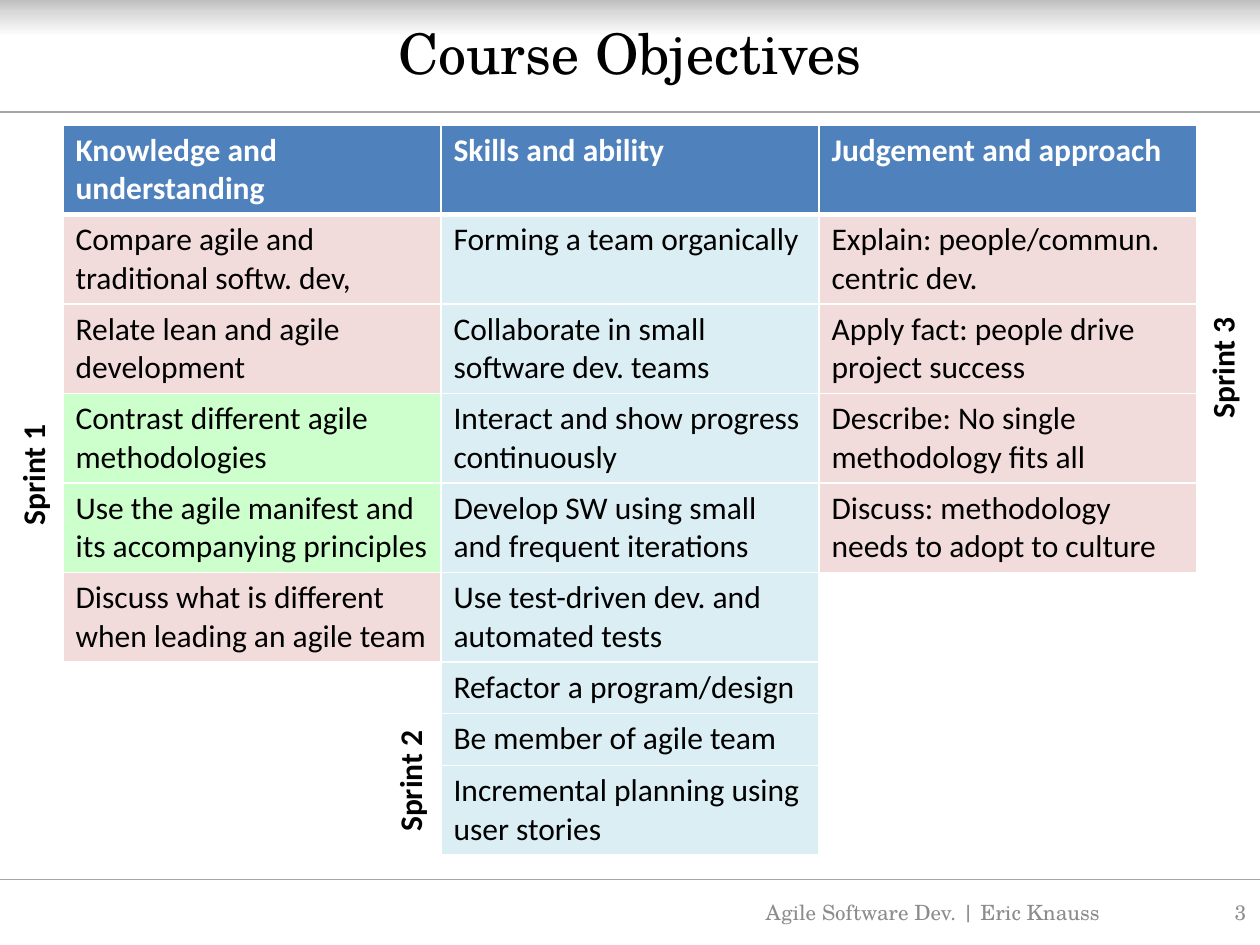
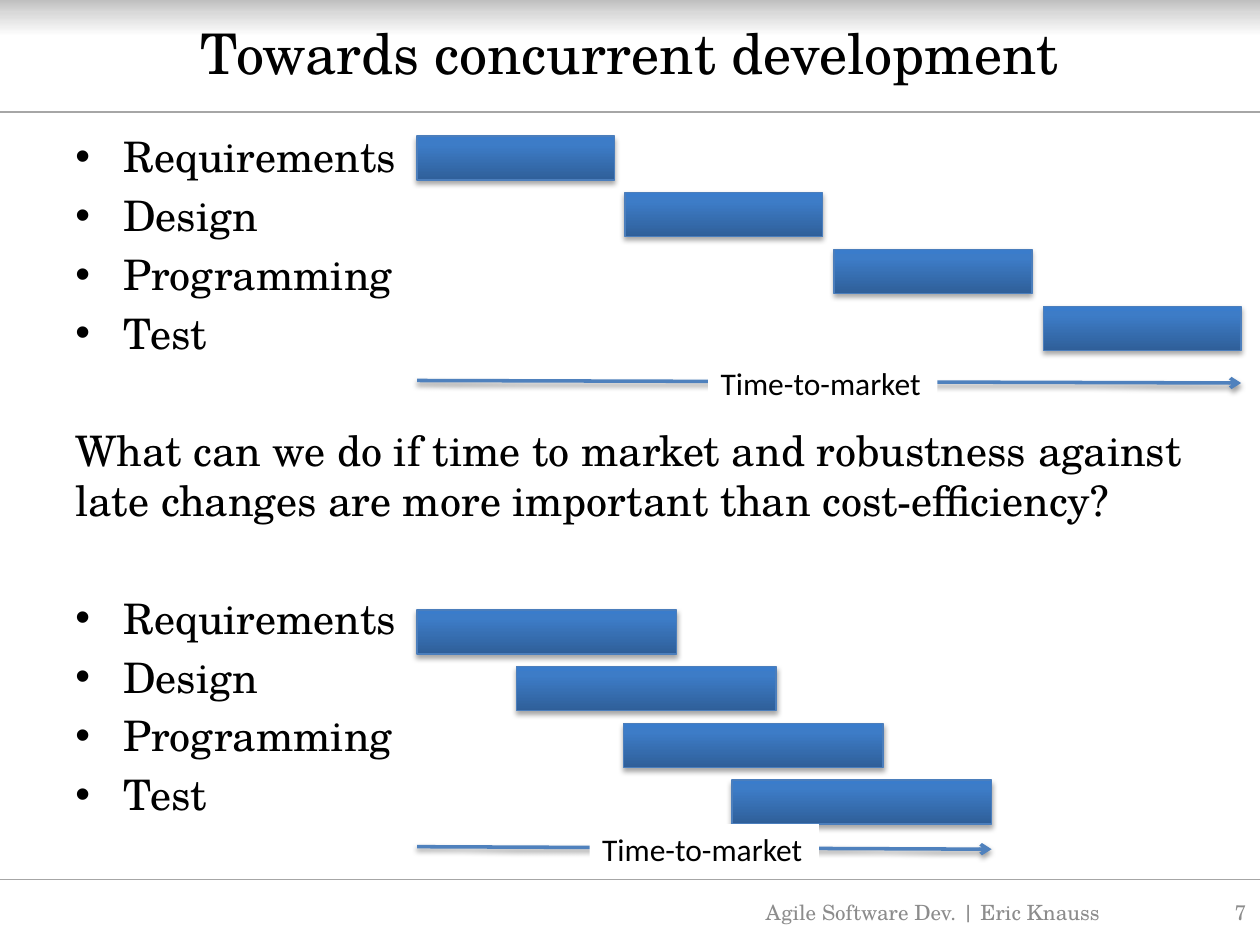
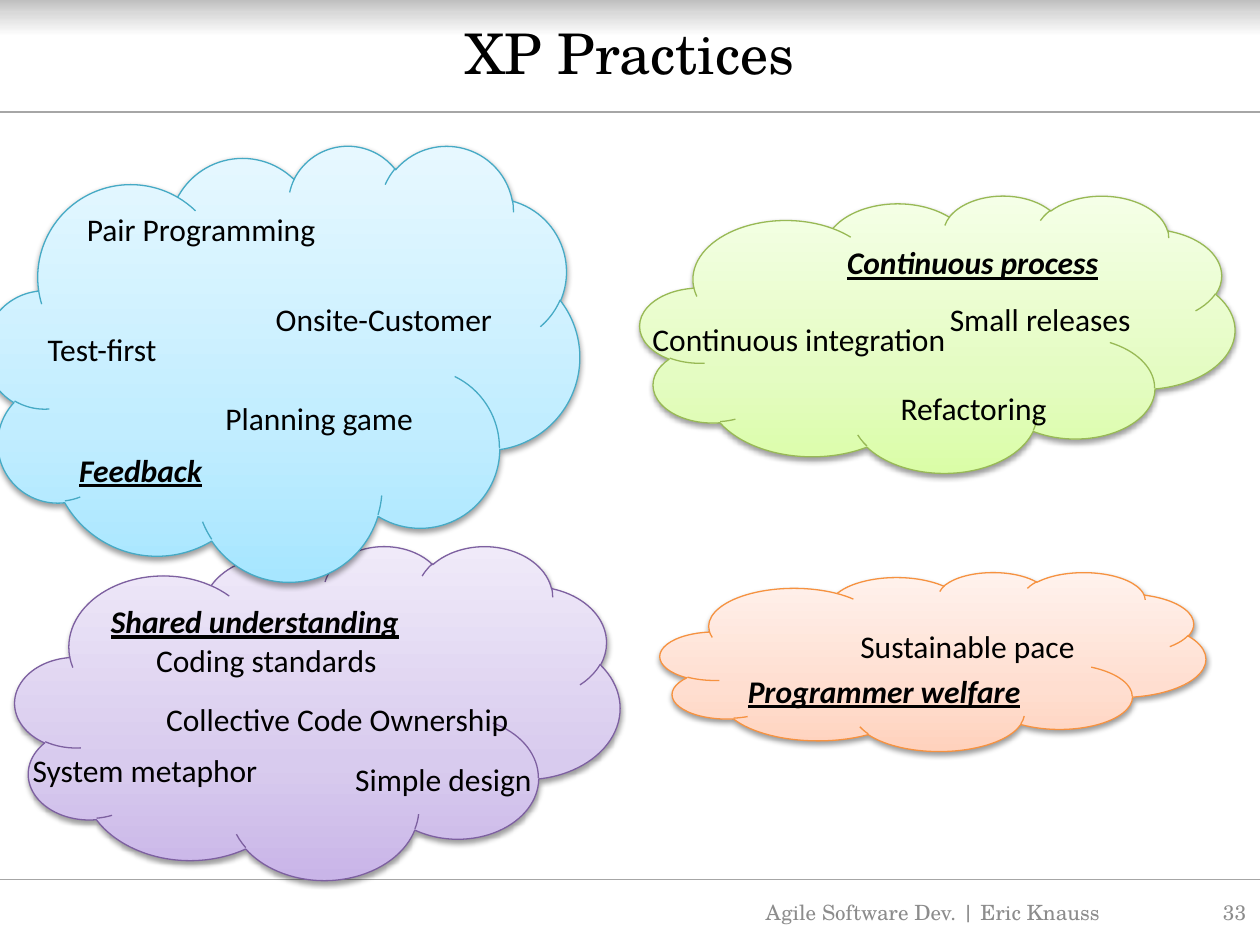
from lxml import etree
from pptx import Presentation
from pptx.dml.color import RGBColor
from pptx.enum.shapes import MSO_CONNECTOR as Conn, MSO_SHAPE as Kind
from pptx.enum.text import MSO_ANCHOR as Anchor, MSO_AUTO_SIZE as Fit, PP_ALIGN as Align
from pptx.oxml import parse_xml
from pptx.oxml.ns import nsdecls, qn
from pptx.util import Inches, Pt

SERIF, SANS = "TeX Gyre Schola", "Calibri"
BLACK = RGBColor(0x00, 0x00, 0x00)
WHITE = RGBColor(0xFF, 0xFF, 0xFF)
GRAY = RGBColor(0x8C, 0x8C, 0x8C)
RULE = RGBColor(0xA6, 0xA6, 0xA6)
BLUE = RGBColor(0x4F, 0x81, 0xBD)
EDGE = RGBColor(0x4B, 0x7E, 0xBC)
ROSE = RGBColor(0xF2, 0xDC, 0xDB)
AQUA = RGBColor(0xDB, 0xEE, 0xF4)
MINT = RGBColor(0xCC, 0xFF, 0xCC)
LIME = RGBColor(0x98, 0xB9, 0x55)
PLUM = RGBColor(0x7D, 0x60, 0xA0)
ORANGE = RGBColor(0xF6, 0x92, 0x40)
TEAL = RGBColor(0x46, 0xAA, 0xC5)
BAR = [(0, "2F5F99"), (80, "3D7CC7"), (100, "3A7CCB")]
BAND = [(0, "BFBFBF"), (34, "D9D9D9"), (100, "FFFFFF")]


def dress(shape, color, width=0.75, stops=(), angle=270, shade=None):
    """Set the line, gradient and shadow; shade is (opacity %, distance pt)."""
    if color is None:
        shape.line.fill.background()
    else:
        shape.line.color.rgb = color
        shape.line.width = Pt(width)
    props = shape.element.spPr
    if stops:
        marks = "".join(f'<a:gs pos="{pos * 1000}"><a:srgbClr val="{tone}"/></a:gs>'
                        for pos, tone in stops)
        props.find(qn("a:prstGeom")).addnext(parse_xml(
            f'<a:gradFill {nsdecls("a")} rotWithShape="1"><a:gsLst>{marks}</a:gsLst>'
            f'<a:lin ang="{angle * 60000}" scaled="0"/></a:gradFill>'))
    glow = etree.SubElement(props, qn("a:effectLst"))
    if shade:
        alpha, dist = shade
        glow.append(parse_xml(
            f'<a:outerShdw {nsdecls("a")} blurRad="{Pt(3.1)}" dist="{Pt(dist)}" '
            f'dir="5400000" rotWithShape="0"><a:srgbClr val="000000">'
            f'<a:alpha val="{alpha * 1000}"/></a:srgbClr></a:outerShdw>'))


def label(slide, text, left, top, width, height=0.4, size=18, font=SANS, color=BLACK):
    """Add a one-line text box that does not wrap."""
    box = slide.shapes.add_textbox(Inches(left), Inches(top), Inches(width), Inches(height))
    frame = box.text_frame
    frame.text = text
    frame.word_wrap = False
    frame.auto_size = Fit.SHAPE_TO_FIT_TEXT
    face = frame.paragraphs[0].runs[0].font
    face.name, face.size, face.color.rgb = font, Pt(size), color
    return box


deck = Presentation()
deck.slide_width, deck.slide_height = Inches(10), Inches(7.5)
layout = deck.slide_layouts[5]

# Titles and footers
slides = []
for title, page in [("Course Objectives", "3"), ("Towards concurrent development", "7"),
                    ("XP Practices", "33")]:
    slide = deck.slides.add_slide(layout)
    slides.append(slide)
    head = slide.shapes.title
    head.left, head.top, head.width, head.height = map(Inches, (0.5, 0.03, 9, 0.77))
    head.text_frame.text = title
    head.text_frame.vertical_anchor = Anchor.MIDDLE
    line = head.text_frame.paragraphs[0]
    line.alignment = Align.CENTER
    face = line.runs[0].font
    face.name, face.size, face.color.rgb = SERIF, Pt(32), BLACK
    for text, left, width, align in [
            ("Agile Software Dev. | Eric Knauss", 5.82, 3.17, Align.CENTER),
            (page, 9.07, 0.92, Align.RIGHT)]:
        foot = label(slide, text, left, 7.04, width, size=12, font=SERIF, color=GRAY)
        foot.text_frame.auto_size = Fit.NONE
        foot.text_frame.word_wrap = True
        foot.text_frame.vertical_anchor = Anchor.MIDDLE
        foot.text_frame.paragraphs[0].alignment = align
goals, flow, cloud_page = slides

# Band and rules, moved to the layout that all slides share
shapes = goals.shapes
band = shapes.add_shape(Kind.RECTANGLE, 0, 0, Inches(10), Inches(0.29))
dress(band, None, stops=BAND, angle=90)
decor = [band]
for y in (6.98, 0.89):
    rule = shapes.add_connector(Conn.STRAIGHT, 0, Inches(y), Inches(10), Inches(y))
    dress(rule, RULE)
    decor.append(rule)
for spot, item in enumerate(decor, 2):
    layout.shapes.element.insert(spot, item.element)

# Course objectives
rows = [
    ("Knowledge and understanding", "Skills and ability", "Judgement and approach"),
    ("Compare agile and traditional softw. dev,", "Forming a team organically",
     "Explain: people/commun. centric dev."),
    ("Relate lean and agile development", "Collaborate in small software dev. teams",
     "Apply fact: people drive project success"),
    ("Contrast different agile methodologies", "Interact and show progress continuously",
     "Describe: No single methodology fits all"),
    ("Use the agile manifest and its accompanying principles",
     "Develop SW using small and frequent iterations",
     "Discuss: methodology needs to adopt to culture"),
    ("Discuss what is different when leading an agile team",
     "Use test-driven dev. and automated tests", ""),
    ("", "Refactor a program/design", ""),
    ("", "Be member of agile team", ""),
    ("", "Incremental planning using user stories", ""),
]
table = goals.shapes.add_table(len(rows), 3, Inches(0.5), Inches(0.99), Inches(9),
                               Inches(0.41 * len(rows))).table
for r, row in enumerate(rows):
    for c, text in enumerate(row):
        cell = table.cell(r, c)
        for side in "LRTB":
            thick = 3 if (r, side) in ((0, "B"), (1, "T")) else 1
            cell._tc.get_or_add_tcPr().append(parse_xml(
                f'<a:ln{side} {nsdecls("a")} w="{Pt(thick)}"><a:solidFill>'
                f'<a:srgbClr val="{WHITE}"/></a:solidFill></a:ln{side}>'))
        cell.fill.solid()
        if r == 0:
            cell.fill.fore_color.rgb = BLUE
        elif not text:
            cell.fill.fore_color.rgb = WHITE
        elif c == 1:
            cell.fill.fore_color.rgb = AQUA
        else:
            cell.fill.fore_color.rgb = MINT if c == 0 and r in (3, 4) else ROSE
        cell.text_frame.text = text
        face = cell.text_frame.paragraphs[0].font
        face.size = Pt(18)
        for run in cell.text_frame.paragraphs[0].runs:
            face = run.font
            face.name, face.size, face.bold = SANS, Pt(18), r == 0
            face.color.rgb = BLACK if r else WHITE

for text, left, top in [("Sprint 1", -0.25, 3.56), ("Sprint 2", 2.74, 5.99),
                        ("Sprint 3", 9.19, 2.71)]:
    tag = label(goals, text, left, top, 1.02)
    tag.rotation = 270
    tag.text_frame.paragraphs[0].runs[0].font.bold = True

# Sequential and concurrent phases
phases = ["Requirements", "Design", "Programming", "Test"]
ask = ("What can we do if time to market and robustness against late changes "
       "are more important than cost-efficiency?")
body = flow.shapes.add_textbox(Inches(0.5), Inches(0.99), Inches(9), Inches(5.83)).text_frame
body.word_wrap = True
body.text = "\n".join(phases + [ask] + phases)
for i, para in enumerate(body.paragraphs):
    if i != len(phases):
        props = para._p.get_or_add_pPr()
        props.set("marL", str(Inches(0.38)))
        props.set("indent", str(Inches(-0.38)))
        etree.SubElement(props, qn("a:buFont")).set("typeface", "Arial")
        etree.SubElement(props, qn("a:buChar")).set("char", "•")
    if i:
        para.space_before = Pt(38.2 if i in (4, 5) else 4.8)
    face = para.runs[0].font
    face.name, face.size, face.color.rgb = SERIF, Pt(24), BLACK

for lefts, top, width, axis, end, mid in [
        ((3.31, 4.96, 6.62, 8.28), 1.08, 1.57, 3.02, 9.85, 5.62),
        ((3.31, 4.1, 4.95, 5.81), 4.84, 2.06, 6.72, 7.87, 4.68)]:
    for i, left in enumerate(lefts):
        bar = flow.shapes.add_shape(Kind.RECTANGLE, Inches(left), Inches(top + 0.45 * i),
                                    Inches(width), Inches(0.35))
        dress(bar, EDGE, stops=BAR, shade=(35, 1.8))
    arrow = flow.shapes.add_connector(Conn.STRAIGHT, Inches(lefts[0]), Inches(axis),
                                      Inches(end), Inches(axis + 0.02))
    dress(arrow, BLUE, 2, shade=(38, 1.6))
    etree.SubElement(arrow.line._ln, qn("a:tailEnd")).set("type", "arrow")
    span = label(flow, "Time-to-market", mid, axis - 0.18, 1.82)
    span.fill.solid()
    span.fill.fore_color.rgb = WHITE

# XP practices
for text, place, edge, tones, anchor, align in [
        ("Continuous process", (5.08, 1.55, 4.72, 2.2), LIME,
         ("DAFDA7", "E4FCC2", "F5FFE7"), Anchor.TOP, Align.RIGHT),
        ("Shared understanding", (0.12, 4.33, 4.8, 2.65), PLUM,
         ("C9B5E8", "D8CBEE", "F0EAF9"), Anchor.TOP, Align.LEFT),
        ("Programmer welfare", (5.24, 4.54, 4.33, 1.42), ORANGE,
         ("FFD2BD", "FFDED0", "FFF2ED"), Anchor.BOTTOM, Align.LEFT),
        ("Feedback", (-0.12, 1.15, 4.72, 3.46), TEAL,
         ("A7E6FF", "C1EDFF", "E7F8FF"), Anchor.BOTTOM, Align.LEFT)]:
    cloud = cloud_page.shapes.add_shape(Kind.CLOUD, *map(Inches, place))
    dress(cloud, edge, stops=list(zip((0, 35, 100), tones)), shade=(38, 1.6))
    frame = cloud.text_frame
    frame.text = text
    frame.vertical_anchor = anchor
    frame.paragraphs[0].alignment = align
    face = frame.paragraphs[0].runs[0].font
    face.name, face.size, face.color.rgb = SANS, Pt(18), BLACK
    face.bold = face.italic = face.underline = True

for text, left, top, width in [
        ("Pair Programming", 0.59, 1.62, 2.05),
        ("Planning game", 1.69, 3.12, 1.71),
        ("Test-first", 0.28, 2.57, 1.12),
        ("Onsite-Customer", 2.09, 2.33, 1.94),
        ("Continuous integration", 5.08, 2.49, 2.56),
        ("Refactoring", 7.05, 3.04, 1.38),
        ("Small releases", 7.44, 2.33, 1.66),
        ("System metaphor", 0.16, 5.91, 2.02),
        ("Simple design", 2.72, 5.98, 1.62),
        ("Collective Code Ownership", 1.22, 5.51, 2.95),
        ("Coding standards", 1.14, 5.04, 1.98),
        ("Sustainable pace", 6.73, 4.93, 1.93)]:
    label(cloud_page, text, left, top, width)

deck.save("out.pptx")
